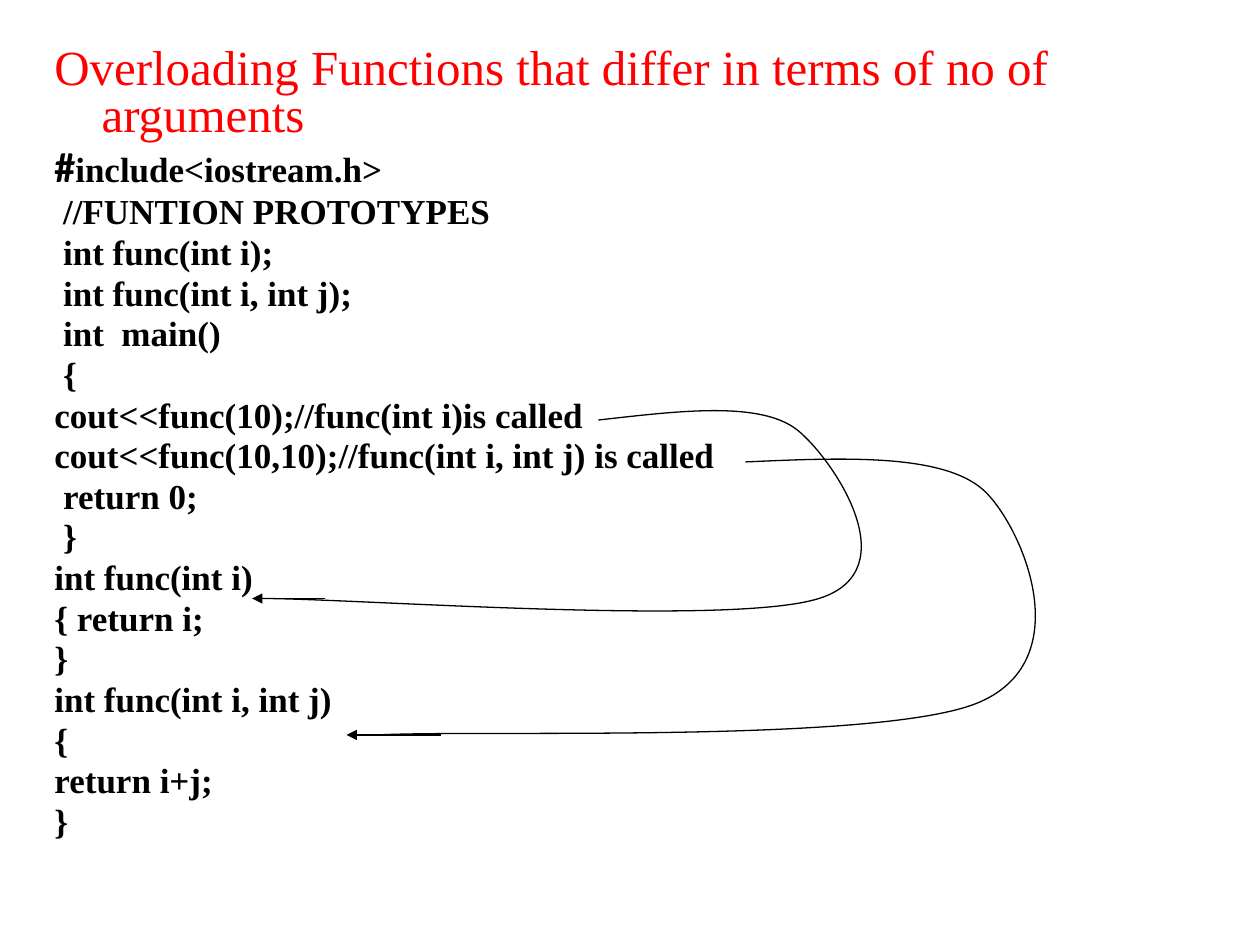
import pptx
import pptx.util
import pptx.dml.color
import pptx.enum.shapes
import pptx.oxml.ns
from lxml import etree
from dataclasses import dataclass
from pptx.util import Pt


@dataclass(frozen=True)
class Theme:
    text_font: str = "Times New Roman"
    hash_font: str = "Calibri"
    title_color: str = "FF0000"
    ink: str = "000000"
    title_size: float = 28
    hash_size: float = 24
    code_size: float = 20
    line_width: float = 0.75
    line_spacing: float = 0.8
    space_share: float = 0.2
    indent: float = 27


THEME = Theme()

# Content
TITLE = "Overloading Functions that differ in terms of no of arguments"
INCLUDE = "include<iostream.h>"
CODE = [
    " //FUNTION PROTOTYPES",
    " int func(int i);",
    " int func(int i, int j);",
    " int  main()",
    " {",
    "cout<<func(10);//func(int i)is called",
    "cout<<func(10,10);//func(int i, int j) is called",
    " return 0;",
    " }",
    "int func(int i)",
    "{ return i;",
    "}",
    "int func(int i, int j)",
    "{",
    "return i+j;",
    "}",
]

# Each call: a start point, then three points for every Bezier segment
CALL_CURVES = [
    [(342, 240),
     (388.8, 234.7), (435, 229), (456, 246),
     (476.6, 263), (519, 326), (468, 342),
     (417, 358), (203, 342), (150, 342)],
    [(426, 264),
     (483.8, 261.4), (542, 259), (564, 282),
     (586, 305), (616, 378.7), (558, 402),
     (499.7, 425), (273, 417), (216, 420)],
]
# Arrows into the definitions: from x, to x, y
ARROWS = [(186, 144, 342), (252, 198, 420)]


def rgb(value):
    return pptx.dml.color.RGBColor.from_string(value)


def add_run(paragraph, text, *, size=THEME.code_size, font=THEME.text_font,
            color=THEME.ink, bold=True):
    run = paragraph.add_run()
    run.text = text
    run.font.size = Pt(size)
    run.font.name = font
    run.font.bold = bold
    run.font.color.rgb = rgb(color)


def add_paragraph(frame, *, size=THEME.code_size, first=False):
    paragraph = frame.paragraphs[0] if first else frame.add_paragraph()
    properties = paragraph._p.get_or_add_pPr()
    properties.set("marL", str(Pt(THEME.indent)))
    properties.set("indent", str(-Pt(THEME.indent)))
    paragraph.line_spacing = THEME.line_spacing
    paragraph.space_before = Pt(0 if first else size * THEME.space_share)
    return paragraph


def style_line(shape):
    shape.line.color.rgb = rgb(THEME.ink)
    shape.line.width = Pt(THEME.line_width)


def add_curve(slide, points):
    start, *rest = [(Pt(x), Pt(y)) for x, y in points]
    builder = slide.shapes.build_freeform(*start)
    builder.add_line_segments(rest, close=False)
    shape = builder.convert_to_shape()
    shape.shadow.inherit = False
    shape.fill.background()
    style_line(shape)
    # Turn every three line points into one cubic segment
    qn = pptx.oxml.ns.qn
    path = shape._element.find(".//" + qn("a:path"))
    segments = path.findall(qn("a:lnTo"))
    for index in range(0, len(segments), 3):
        cubic = etree.SubElement(path, qn("a:cubicBezTo"))
        for segment in segments[index:index + 3]:
            cubic.append(segment[0])
            path.remove(segment)


def add_arrow(slide, from_x, to_x, y):
    arrow = slide.shapes.add_connector(
        pptx.enum.shapes.MSO_CONNECTOR.STRAIGHT,
        Pt(from_x), Pt(y), Pt(to_x), Pt(y))
    style_line(arrow)
    qn = pptx.oxml.ns.qn
    etree.SubElement(arrow.line._get_or_add_ln(), qn("a:tailEnd"), type="triangle")
    etree.SubElement(arrow._element.spPr, qn("a:effectLst"))


def main():
    presentation = pptx.Presentation()
    presentation.slide_width, presentation.slide_height = Pt(720), Pt(540)
    slide = presentation.slides.add_slide(presentation.slide_layouts[6])

    # Heading and code listing
    frame = slide.shapes.add_textbox(Pt(24), Pt(24), Pt(648), Pt(492)).text_frame
    frame.word_wrap = True
    add_run(add_paragraph(frame, first=True), TITLE, size=THEME.title_size,
            color=THEME.title_color, bold=False)
    include = add_paragraph(frame, size=THEME.hash_size)
    add_run(include, "#", size=THEME.hash_size, font=THEME.hash_font)
    add_run(include, INCLUDE)
    for line in CODE:
        add_run(add_paragraph(frame), line)

    # Links from each call to its definition
    for points, arrow in zip(CALL_CURVES, ARROWS):
        add_curve(slide, points)
        add_arrow(slide, *arrow)

    presentation.save("out.pptx")


if __name__ == "__main__":
    main()
